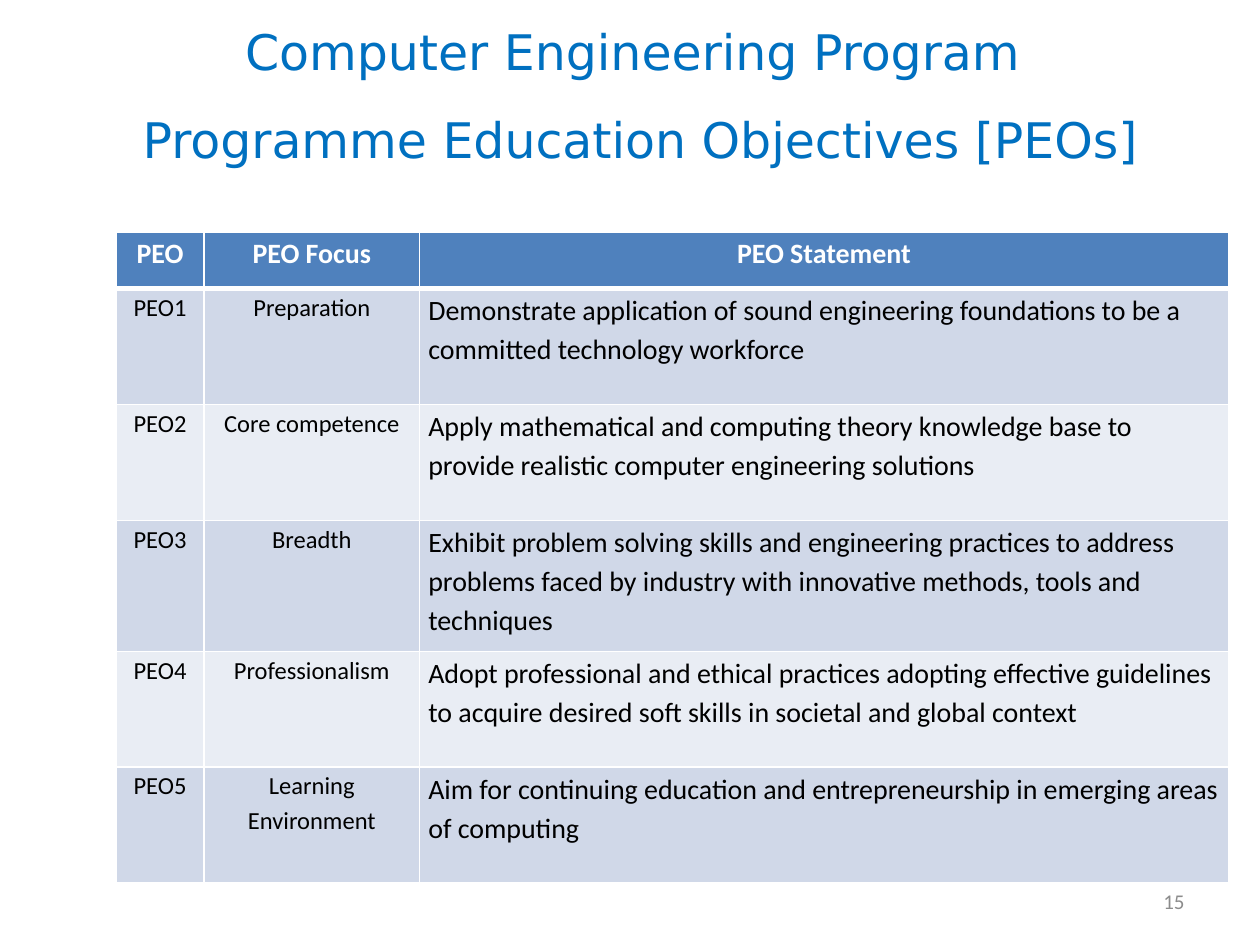
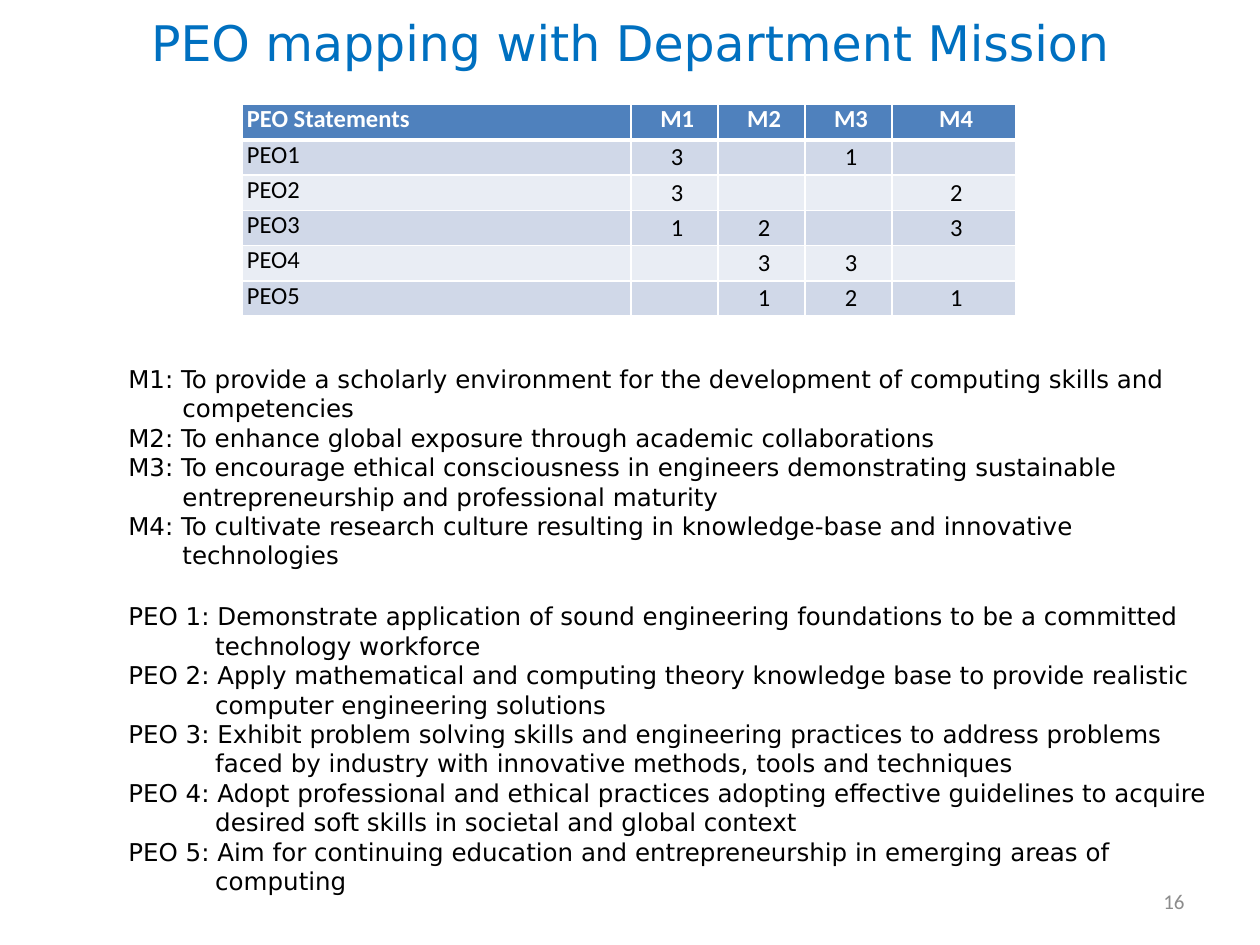
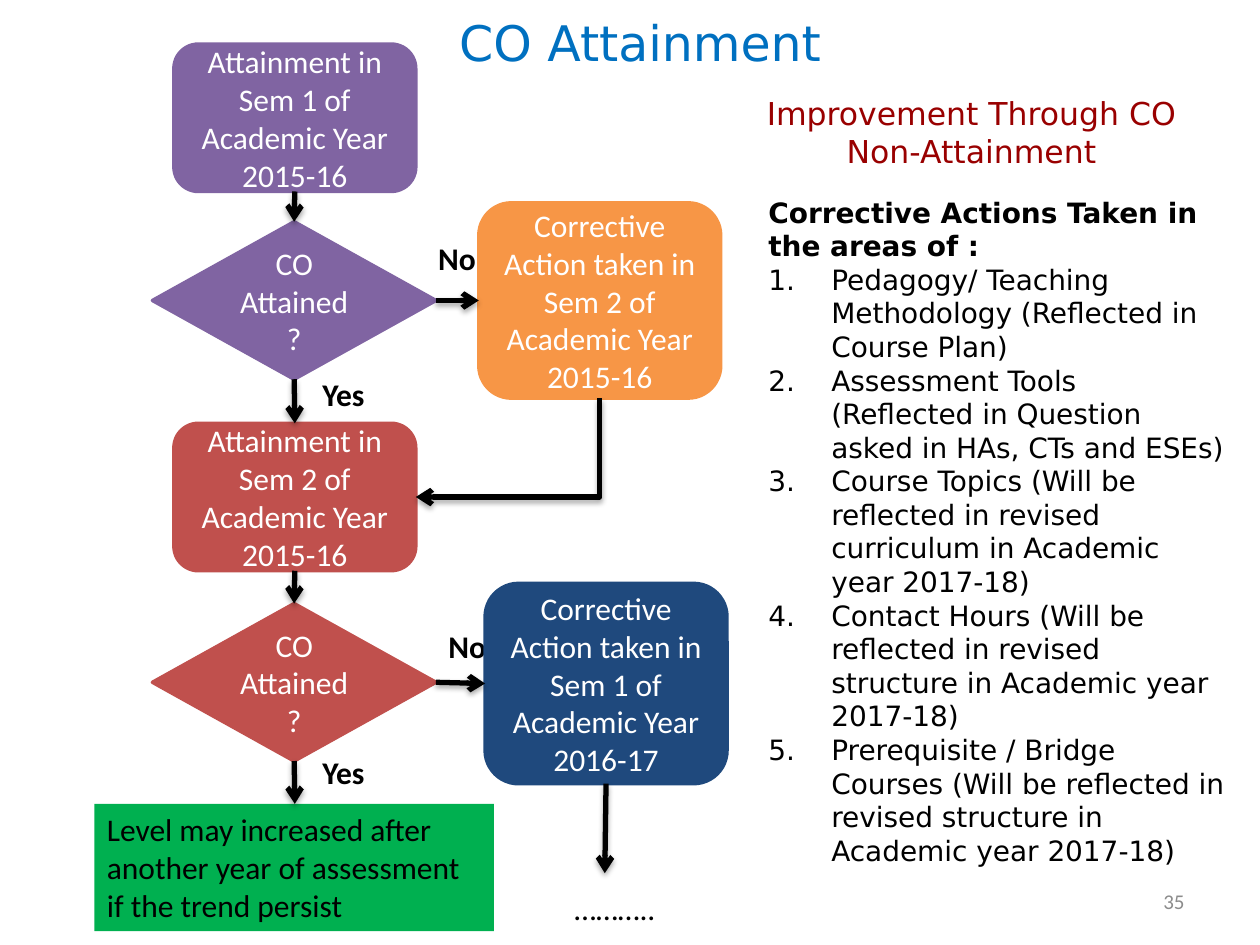
from lxml.etree import SubElement
from pptx import Presentation
from pptx.dml.color import RGBColor
from pptx.enum.shapes import MSO_CONNECTOR, MSO_SHAPE
from pptx.enum.text import MSO_ANCHOR, PP_ALIGN
from pptx.oxml import parse_xml
from pptx.oxml.ns import nsdecls, qn
from pptx.util import Inches, Pt

W, H = 10, 7.5
BODY, HEAD = "Calibri", "DejaVu Sans"
BLACK, WHITE, GREY = "000000", "FFFFFF", "8C8C8C"
TITLE_BLUE, DARK_RED, GREEN = "0070C0", "990000", "00B050"
PURPLE, RED, ORANGE, NAVY = "8064A2", "C0504D", "F79646", "1F497D"
TABLE_HEAD, BANDS = "4F81BD", ("D0D8E8", "E9EDF4")
LEFT, CENTER, RIGHT = PP_ALIGN.LEFT, PP_ALIGN.CENTER, PP_ALIGN.RIGHT
TOP, MIDDLE = MSO_ANCHOR.TOP, MSO_ANCHOR.MIDDLE

PEOS = [
    ("Preparation", "Demonstrate application of sound engineering foundations "
     "to be a committed technology workforce"),
    ("Core competence", "Apply mathematical and computing theory knowledge base "
     "to provide realistic computer engineering solutions"),
    ("Breadth", "Exhibit problem solving skills and engineering practices to address "
     "problems faced by industry with innovative methods, tools and techniques"),
    ("Professionalism", "Adopt professional and ethical practices adopting effective "
     "guidelines to acquire desired soft skills in societal and global context"),
    ("Learning Environment", "Aim for continuing education and entrepreneurship "
     "in emerging areas of computing"),
]
MISSIONS = [
    "To provide a scholarly environment for the development of computing skills "
    "and competencies",
    "To enhance global exposure through academic collaborations",
    "To encourage ethical consciousness in engineers demonstrating sustainable "
    "entrepreneurship and professional maturity",
    "To cultivate research culture resulting in knowledge-base and innovative technologies",
]
MAPPING = [  # one row per PEO, one column per mission
    ("3", "", "1", ""),
    ("3", "", "", "2"),
    ("1", "2", "", "3"),
    ("", "3", "3", ""),
    ("", "1", "2", "1"),
]
ACTIONS_HEAD = "Corrective Actions Taken in the areas of :"
ACTIONS = [
    "Pedagogy/ Teaching Methodology (Reflected in Course Plan)",
    "Assessment Tools (Reflected in Question asked in HAs, CTs and ESEs)",
    "Course Topics (Will be reflected in revised curriculum in Academic year 2017-18)",
    "Contact Hours (Will be reflected in revised structure in Academic year 2017-18)",
    "Prerequisite / Bridge Courses (Will be reflected in revised structure "
    "in Academic year 2017-18)",
]
OUTCOME = ["Level may increased after", "another year of assessment", "if the trend persist"]

ROUND, DIAMOND = MSO_SHAPE.ROUNDED_RECTANGLE, MSO_SHAPE.DIAMOND
STEPS = {  # name: shape, colour, (left, top, width, height), text
    "sem1": (ROUND, PURPLE, (1.38, 0.35, 1.92, 1.17),
             "Attainment in Sem 1 of Academic Year 2015-16"),
    "check1": (DIAMOND, PURPLE, (1.21, 1.76, 2.25, 1.25), "CO Attained?"),
    "fix1": (ROUND, ORANGE, (3.8, 1.61, 1.92, 1.55),
             "Corrective Action taken in Sem 2 of Academic Year 2015-16"),
    "sem2": (ROUND, RED, (1.38, 3.36, 1.92, 1.17),
             "Attainment in Sem 2 of Academic Year 2015-16"),
    "check2": (DIAMOND, RED, (1.21, 4.79, 2.25, 1.25), "CO Attained?"),
    "fix2": (ROUND, NAVY, (3.85, 4.63, 1.92, 1.59),
             "Corrective Action taken in Sem 1 of Academic Year 2016-17"),
}
TOP_SIDE, LEFT_SIDE, BOTTOM_SIDE, RIGHT_SIDE = range(4)
LINKS = [
    ("sem1", BOTTOM_SIDE, "check1", TOP_SIDE),
    ("check1", BOTTOM_SIDE, "sem2", TOP_SIDE),
    ("check1", RIGHT_SIDE, "fix1", LEFT_SIDE),
    ("sem2", BOTTOM_SIDE, "check2", TOP_SIDE),
    ("check2", RIGHT_SIDE, "fix2", LEFT_SIDE),
]
BRANCH_LABELS = [("Yes", 2.46, 2.93), ("Yes", 2.46, 5.93), ("No", 3.38, 1.85), ("No", 3.46, 4.93)]


def rgb(hex_color):
    return RGBColor.from_string(hex_color)


def write(tf, lines, size, color=BLACK, font=BODY, bold=False, align=LEFT, anchor=TOP, spacing=None):
    tf.text = "\n".join(lines)
    tf.vertical_anchor = anchor
    for p in tf.paragraphs:
        p.alignment = align
        if spacing:
            p.line_spacing = spacing
        for r in p.runs:
            f = r.font
            f.name, f.size, f.bold = font, Pt(size), bold
            f.color.rgb = rgb(color)


def add_text(s, box, lines, size, wrap=True, **style):
    tf = s.shapes.add_textbox(*map(Inches, box)).text_frame
    tf.word_wrap = wrap
    write(tf, lines, size, **style)
    return tf


def add_title(s, text, left, height=0.67, spacing=None):
    add_text(s, (left, 0, 9, height), [text], 28, color=TITLE_BLUE, font=HEAD,
             align=CENTER, anchor=MIDDLE, spacing=spacing)


def add_page_number(s, number):
    add_text(s, (7.17, 6.95, 2.33, 0.4), [str(number)], 12, color=GREY,
             align=RIGHT, anchor=MIDDLE)


def hang(p, inches):
    """Indent all lines of a paragraph but the first."""
    pPr = p._p.get_or_add_pPr()
    pPr.set("marL", str(Inches(inches)))
    pPr.set("indent", str(-Inches(inches)))
    return pPr


def add_borders(cell, bottom):
    tcPr = cell._tc.get_or_add_tcPr()
    for side, width in (("L", 1), ("R", 1), ("T", 1), ("B", bottom)):
        tcPr.append(parse_xml(
            f'<a:ln{side} {nsdecls("a")} w="{Pt(width)}"><a:solidFill>'
            f'<a:srgbClr val="{WHITE}"/></a:solidFill></a:ln{side}>'))


def add_table(s, left, top, widths, heights, rows, margins, style):
    """Draw a banded table; style(row, column) gives the text style of a cell."""
    frame = s.shapes.add_table(len(rows), len(widths), Inches(left), Inches(top),
                               Inches(sum(widths)), Inches(sum(heights)))
    table = frame.table
    for column, width in zip(table.columns, widths):
        column.width = Inches(width)
    for i, (row, height) in enumerate(zip(rows, heights)):
        table.rows[i].height = Inches(height)
        for j, text in enumerate(row):
            cell = table.cell(i, j)
            cell.margin_left, cell.margin_right = map(Inches, margins)
            cell.margin_top = cell.margin_bottom = 0
            look = style(i, j)
            anchor = look.pop("anchor", TOP)
            write(cell.text_frame, [text], color=BLACK if i else WHITE, bold=i == 0, **look)
            cell.vertical_anchor = anchor
            if not text:
                end = cell.text_frame.paragraphs[0]._p.get_or_add_endParaRPr()
                end.set("sz", str(look["size"] * 100))
            add_borders(cell, 1 if i else 3)
            cell.fill.solid()
            cell.fill.fore_color.rgb = rgb(BANDS[(i - 1) % 2] if i else TABLE_HEAD)


def add_arrow(s, start=(0, 0), end=(0, 0), kind=MSO_CONNECTOR.STRAIGHT):
    c = s.shapes.add_connector(kind, *map(Inches, start + end))
    c.line.width = Pt(3)
    c.line.color.rgb = rgb(BLACK)
    SubElement(c.line._get_or_add_ln(), qn("a:tailEnd"), type="arrow")
    c._element.spPr.append(parse_xml(
        f'<a:effectLst {nsdecls("a")}><a:outerShdw blurRad="40000" dist="23000" dir="5400000" '
        f'rotWithShape="0"><a:srgbClr val="{BLACK}"><a:alpha val="35000"/></a:srgbClr>'
        '</a:outerShdw></a:effectLst>'))
    return c


def add_corner_arrow(s, source, target):
    """Lead from the bottom of source down, then left into the side of target."""
    c = add_arrow(s, kind=MSO_CONNECTOR.ELBOW)
    c.begin_connect(source, BOTTOM_SIDE)
    c.end_connect(target, RIGHT_SIDE)
    x1, y1, x2, y2 = c.begin_x, c.begin_y, c.end_x, c.end_y
    run, drop = x1 - x2, y2 - y1
    spPr = c._element.spPr
    spPr.find(qn("a:prstGeom")).set("prst", "bentConnector2")
    xfrm = spPr.find(qn("a:xfrm"))
    xfrm.attrib.pop("flipH", None)
    xfrm.set("rot", "5400000")
    c.left, c.top = (x1 + x2 - drop) // 2, (y1 + y2 - run) // 2
    c.width, c.height = drop, run


def add_shape(s, kind, color, box, lines, text_color, outline=True, **style):
    sp = s.shapes.add_shape(kind, *map(Inches, box))
    sp.shadow.inherit = False
    sp.fill.solid()
    sp.fill.fore_color.rgb = rgb(color)
    if outline:
        sp.line.color.rgb = rgb(color)
        sp.line.width = Pt(2)
    else:
        sp.line.fill.background()
    sp.text_frame.word_wrap = True
    write(sp.text_frame, lines, 18, color=text_color, **style)
    return sp


def build_objectives(s):
    add_title(s, "Computer Engineering Program \vProgramme Education Objectives [PEOs]",
              0.58, 1.27, spacing=1.5)
    rows = [("PEO", "PEO Focus", "PEO Statement")]
    rows += [(f"PEO{i}", *peo) for i, peo in enumerate(PEOS, 1)]

    def style(i, j):
        return dict(size=16 if i == 0 or j == 2 else 14, spacing=1.15,
                    align=LEFT if i and j == 2 else CENTER)

    add_table(s, 0.92, 1.84, (0.7, 1.71, 6.42), (0.45, 0.92, 0.92, 1.04, 0.92, 0.92),
              rows, (0.07, 0.07), style)
    add_page_number(s, 15)


def build_mapping(s):
    add_title(s, "PEO mapping with Department Mission", 0.5)
    rows = [("PEO Statements", *(f"M{i}" for i in range(1, 5)))]
    rows += [(f"PEO{i}", *levels) for i, levels in enumerate(MAPPING, 1)]

    def style(i, j):
        return dict(size=14, align=CENTER if j else LEFT, anchor=MIDDLE if i and j else TOP)

    add_table(s, 1.92, 0.83, (3.09, 0.69, 0.69, 0.69, 0.98), [0.28] * 6,
              rows, (0.04, 0), style)
    add_page_number(s, 16)
    for prefix, texts, top, height, indent in (
            ("M", MISSIONS, 2.83, 1.75, 0.43),
            ("PEO ", [statement for _, statement in PEOS], 4.67, 2.54, 0.69)):
        lines = [f"{prefix}{i}: {text}" for i, text in enumerate(texts, 1)]
        tf = add_text(s, (0.92, top, 8.83, height), lines, 14, font=HEAD, anchor=MIDDLE)
        for p in tf.paragraphs:
            hang(p, indent)


def build_attainment(s):
    add_page_number(s, 35)
    add_title(s, "CO Attainment", 0.58)
    for text, left, top in BRANCH_LABELS:
        add_text(s, (left, top, 0.54, 0.4), [text], 18, wrap=False, bold=True)
    steps = {name: add_shape(s, kind, color, box, [text], WHITE, align=CENTER, anchor=MIDDLE)
             for name, (kind, color, box, text) in STEPS.items()}
    outcome = add_shape(s, MSO_SHAPE.RECTANGLE, GREEN, (0.75, 6.38, 3.17, 1.01), OUTCOME,
                        BLACK, outline=False)
    for source, source_side, target, target_side in LINKS:
        c = add_arrow(s)
        c.begin_connect(steps[source], source_side)
        c.end_connect(steps[target], target_side)
    add_corner_arrow(s, steps["fix1"], steps["sem2"])
    c = add_arrow(s, (2.34, 6.04), (2.34, 6.38))
    c.begin_connect(steps["check2"], BOTTOM_SIDE)
    c = add_arrow(s, (4.81, 6.22), (4.8, 6.93))
    c.begin_connect(steps["fix2"], BOTTOM_SIDE)
    add_text(s, (4.46, 7.01, 0.85, 0.4), ["……….."], 18, wrap=False)

    add_text(s, (5.9, 0.17, 3.7, 1.75), ["Improvement Through CO \vNon-Attainment "], 18,
             color=DARK_RED, font=HEAD, align=CENTER, anchor=MIDDLE)
    tf = add_text(s, (6, 1.5, 3.83, 5.5), [ACTIONS_HEAD] + ACTIONS, 16, font=HEAD)
    heading, *items = tf.paragraphs
    heading.runs[0].font.bold = True
    for p in items:
        SubElement(hang(p, 0.5), qn("a:buAutoNum"), type="arabicPeriod")


def main():
    prs = Presentation()
    prs.slide_width, prs.slide_height = Inches(W), Inches(H)
    for build in (build_objectives, build_mapping, build_attainment):
        build(prs.slides.add_slide(prs.slide_layouts[6]))
    prs.save("out.pptx")


if __name__ == "__main__":
    main()
